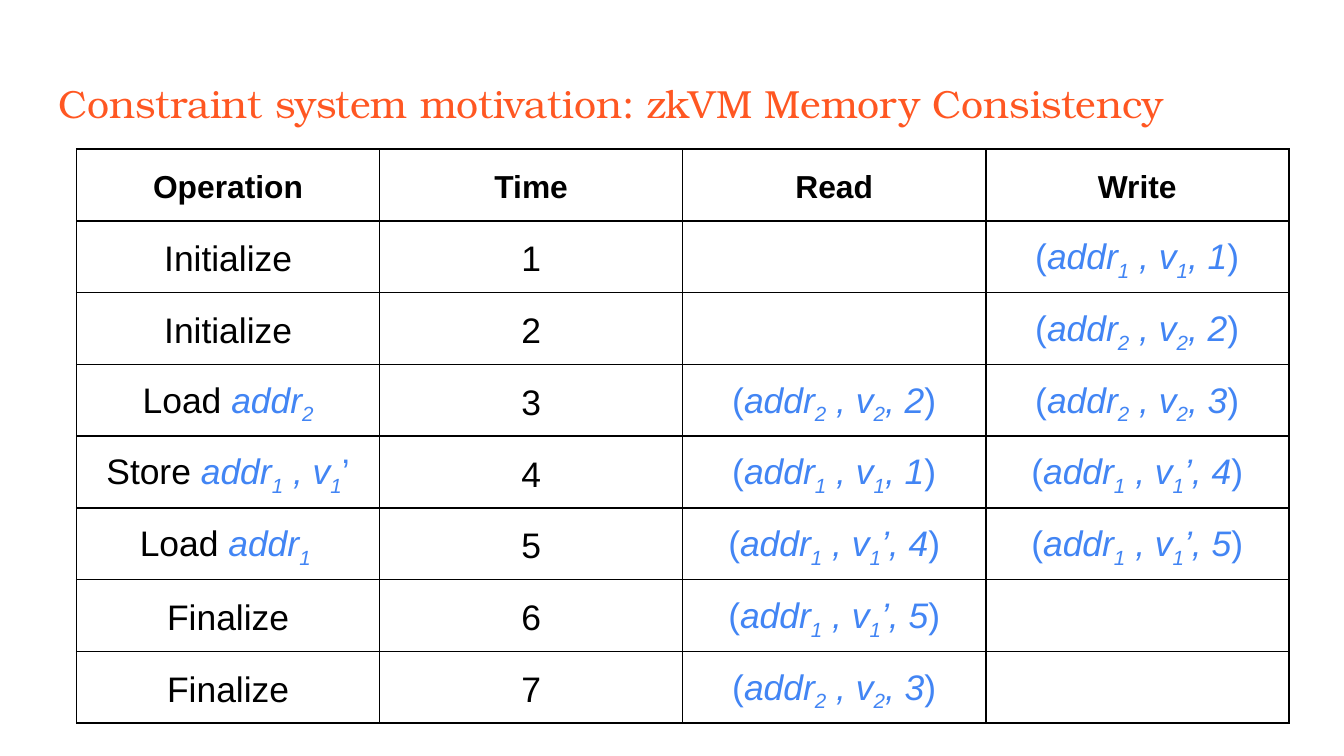
from dataclasses import dataclass

from lxml.etree import SubElement
from pptx import Presentation
from pptx.dml.color import RGBColor
from pptx.enum.text import MSO_ANCHOR, PP_ALIGN
from pptx.oxml.ns import qn
from pptx.util import Inches, Pt


@dataclass(frozen=True)
class Theme:
    title: str = "FF5722"
    ink: str = "000000"
    accent: str = "4285F4"
    title_font: str = "TeX Gyre Bonum"
    body_font: str = "Arial"
    title_size: int = 21
    header_size: int = 17
    body_size: int = 19
    border_width: int = 1
    line_spacing: float = 1.15


@dataclass(frozen=True)
class Span:
    text: str
    color: str
    italic: bool = False
    subscript: bool = False


@dataclass(frozen=True)
class Area:
    left: float
    top: float
    width: float
    height: float
    margin: float


THEME = Theme()
SLIDE_WIDTH = 10
SLIDE_HEIGHT = SLIDE_WIDTH * 9 / 16
TITLE_AREA = Area(left=0.34, top=0.49, width=9.32, height=0.63, margin=0.1)
TABLE_AREA = Area(left=0.57, top=1.11, width=9.02, height=4.27, margin=0.06)


def plain(text: str) -> list[Span]:
    return [Span(text, THEME.ink)]


def symbol(name: str, index: str) -> list[Span]:
    return [
        Span(name, THEME.accent, italic=True),
        Span(index, THEME.accent, italic=True, subscript=True),
    ]


def access(index: int, time: int, prime: str = "") -> list[Span]:
    return [
        Span("(", THEME.accent),
        *symbol("addr", str(index)),
        *symbol(" , v", str(index)),
        Span(f"{prime}, {time}", THEME.accent, italic=True),
        Span(")", THEME.accent),
    ]


HEADERS = ["Operation", "Time", "Read", "Write"]
STEPS = [
    (plain("Initialize"), [], access(1, 1)),
    (plain("Initialize"), [], access(2, 2)),
    (plain("Load ") + symbol("addr", "2"), access(2, 2), access(2, 3)),
    (
        plain("Store ") + symbol("addr", "1") + symbol(" , v", "1") + [Span("’", THEME.accent)],
        access(1, 1),
        access(1, 4, "’"),
    ),
    (plain("Load ") + symbol("addr", "1 "), access(1, 4, "’"), access(1, 5, "’")),
    (plain("Finalize"), access(1, 5, "’"), []),
    (plain("Finalize"), access(2, 3), []),
]


def add_spans(para, spans: list[Span]) -> None:
    for item in spans:
        span = para.add_run()
        span.text = item.text
        span.font.color.rgb = RGBColor.from_string(item.color)
        span.font.italic = item.italic
        if item.subscript:
            span.font._element.set("baseline", "-25000")


def add_borders(cell) -> None:
    properties = cell._tc.get_or_add_tcPr()
    for position, side in enumerate(("a:lnL", "a:lnR", "a:lnT", "a:lnB")):
        line = SubElement(properties, qn(side), w=str(Pt(THEME.border_width)))
        properties.insert(position, line)
        fill = SubElement(line, qn("a:solidFill"))
        SubElement(fill, qn("a:srgbClr"), val=THEME.ink)


def fill_cell(cell, spans: list[Span], size: int, bold: bool) -> None:
    cell.fill.background()
    cell.vertical_anchor = MSO_ANCHOR.MIDDLE
    cell.margin_left = cell.margin_right = Inches(TABLE_AREA.margin)
    cell.margin_top = cell.margin_bottom = Inches(TABLE_AREA.margin)
    para = cell.text_frame.paragraphs[0]
    para.alignment = PP_ALIGN.CENTER
    para.line_spacing = THEME.line_spacing
    para.font.name = THEME.body_font
    para.font.size = Pt(size)
    para.font.bold = bold
    add_spans(para, spans)
    add_borders(cell)


def add_title(page, text: str) -> None:
    box = page.shapes.add_textbox(
        Inches(TITLE_AREA.left),
        Inches(TITLE_AREA.top),
        Inches(TITLE_AREA.width),
        Inches(TITLE_AREA.height),
    )
    frame = box.text_frame
    frame.word_wrap = True
    frame.margin_left = frame.margin_right = Inches(TITLE_AREA.margin)
    frame.margin_top = frame.margin_bottom = Inches(TITLE_AREA.margin)
    para = frame.paragraphs[0]
    para.font.name = THEME.title_font
    para.font.size = Pt(THEME.title_size)
    add_spans(para, [Span(text, THEME.title)])


def add_memory_table(page) -> None:
    rows = [[plain(header) for header in HEADERS]]
    for time, (operation, read, write) in enumerate(STEPS, start=1):
        rows.append([operation, plain(str(time)), read, write])
    table = page.shapes.add_table(
        len(rows),
        len(HEADERS),
        Inches(TABLE_AREA.left),
        Inches(TABLE_AREA.top),
        Inches(TABLE_AREA.width),
        Inches(TABLE_AREA.height),
    ).table
    table.first_row = False
    table.horz_banding = False
    for row_index, row in enumerate(rows):
        is_header = row_index == 0
        size = THEME.header_size if is_header else THEME.body_size
        for column_index, spans in enumerate(row):
            fill_cell(table.cell(row_index, column_index), spans, size, is_header)


def main() -> None:
    deck = Presentation()
    deck.slide_width = Inches(SLIDE_WIDTH)
    deck.slide_height = Inches(SLIDE_HEIGHT)
    page = deck.slides.add_slide(deck.slide_layouts[6])
    add_title(page, "Constraint system motivation: zkVM Memory Consistency")
    add_memory_table(page)
    deck.save("out.pptx")


if __name__ == "__main__":
    main()
